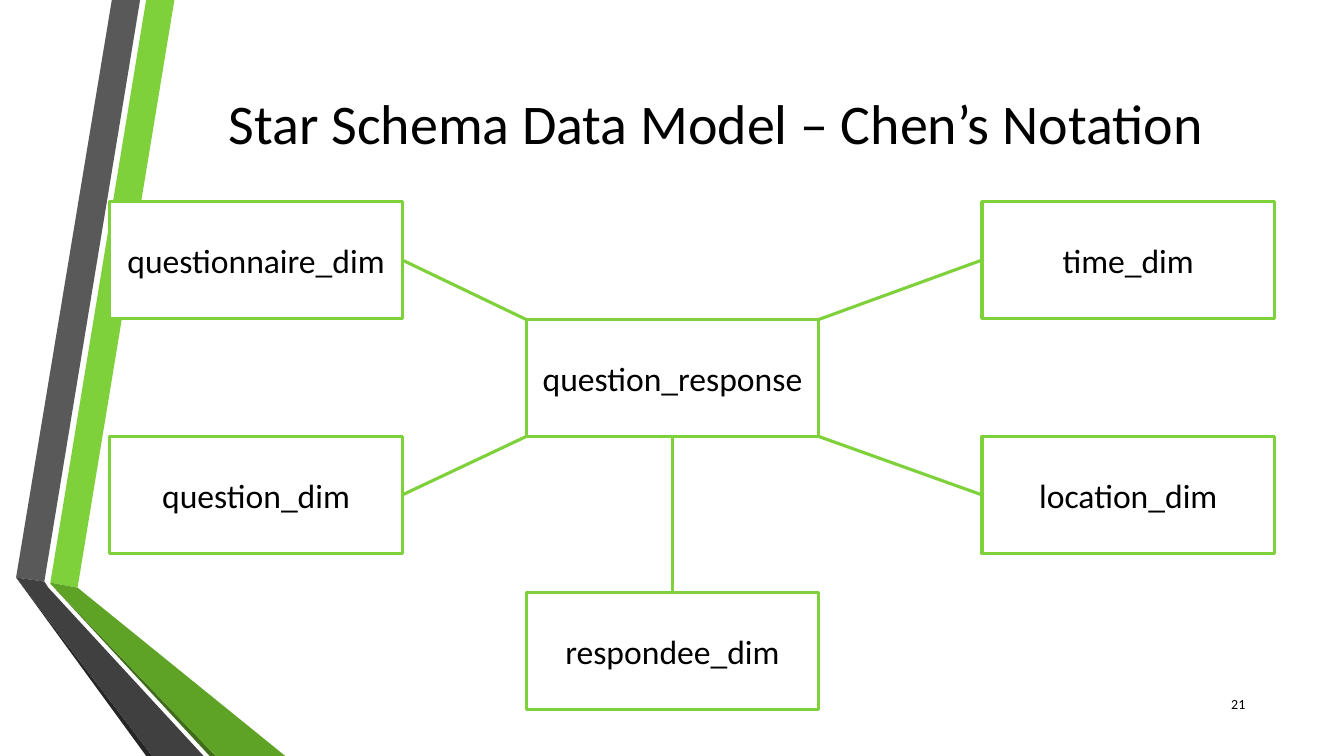
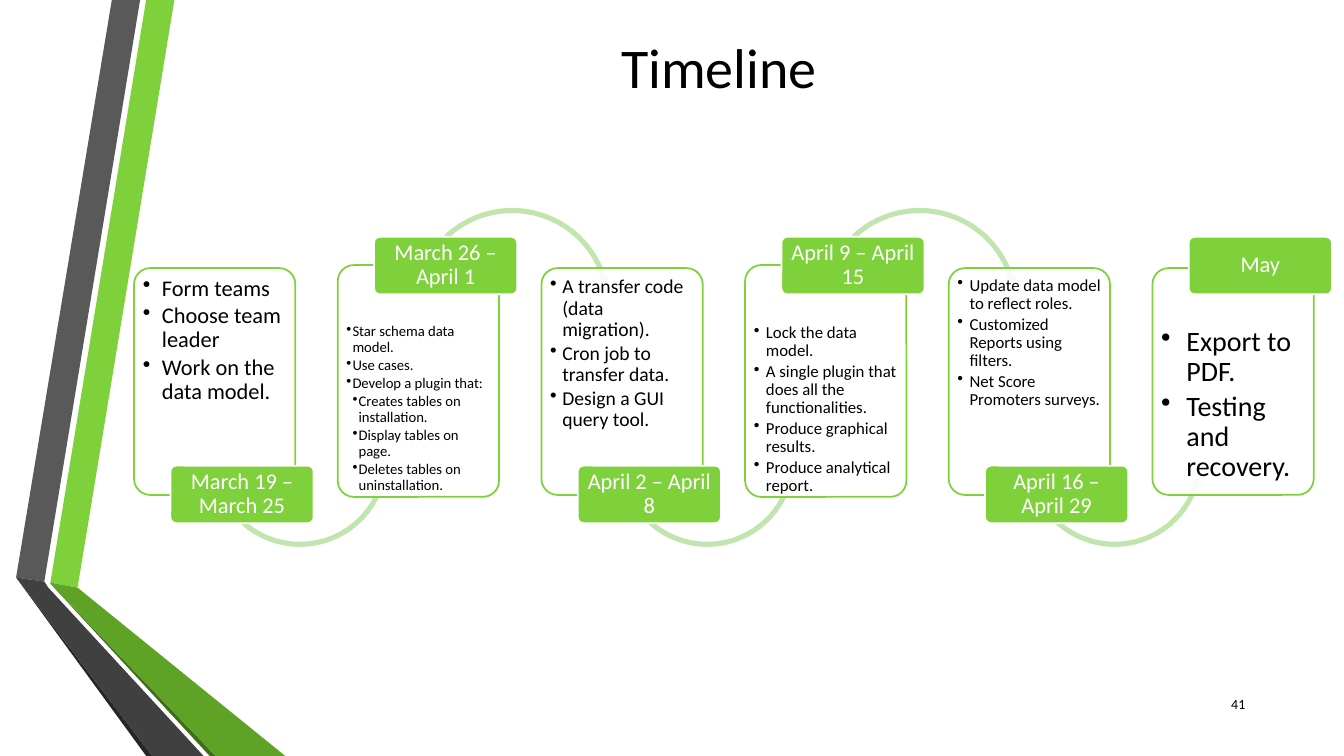
from dataclasses import dataclass

from lxml.etree import SubElement
from pptx import Presentation
from pptx.dml.color import RGBColor as Rgb
from pptx.enum.shapes import MSO_CONNECTOR as Link, MSO_SHAPE as Shape
from pptx.enum.text import MSO_ANCHOR as Anchor, PP_ALIGN as Align
from pptx.oxml.ns import qn
from pptx.util import Inches, Pt


@dataclass(frozen=True)
class Theme:
    font: str = "Calibri"
    ink: str = "000000"
    paper: str = "FFFFFF"
    green: str = "7FD13B"
    pale_green: str = "C0E5AF"
    title_size: float = 40
    entity_size: float = 24
    label_size: float = 16
    number_size: float = 10
    entity_line: float = 2.25
    card_line: float = 1.25


# Folded ribbon down the left edge: fill and outline in inches
RIBBON = [
    ("7FD13B", [(0.5, 5.78), (0.77, 5.83), (1.73, 0), (1.45, 0)]),
    ("595959", [(1.39, 0), (1.11, 0), (0.16, 5.73), (0.44, 5.77)]),
    ("262626", [(0.16, 5.73), (1.45, 7.5), (1.51, 7.5)]),
    ("3F6D19", [(0.5, 5.79), (2.08, 7.5), (2.14, 7.5)]),
    ("5FA326", [(0.5, 5.79), (2.14, 7.5), (2.83, 7.5), (0.77, 5.83), (0.5, 5.78)]),
    ("404040", [(2.02, 7.5), (0.48, 5.83), (0.44, 5.77), (0.16, 5.73), (1.51, 7.5)]),
]


class SlideMaker:
    def __init__(self, theme):
        self.theme = theme
        self.deck = Presentation()
        self.deck.slide_width, self.deck.slide_height = Inches(13.33), Inches(7.5)
        self.page = None

    def new_page(self, title, title_at, number):
        self.page = self.deck.slides.add_slide(self.deck.slide_layouts[6])
        for color, points in RIBBON:
            self.outline(color, points)
        self.textbox(title, (*title_at, 10.96, 0.92), self.theme.title_size, Align.CENTER)
        self.textbox(number, (11.85, 6.78, 0.6, 0.4), self.theme.number_size, Align.RIGHT)

    def paint(self, shape, fill, line=None, width=0):
        shape.shadow.inherit = False
        shape.fill.solid()
        shape.fill.fore_color.rgb = Rgb.from_string(fill)
        if line:
            shape.line.color.rgb = Rgb.from_string(line)
            shape.line.width = Pt(width)
        else:
            shape.line.fill.background()

    def outline(self, color, points):
        start, *rest = [(Inches(x), Inches(y)) for x, y in points]
        builder = self.page.shapes.build_freeform(*start)
        builder.add_line_segments(rest, close=True)
        self.paint(builder.convert_to_shape(), color)

    def shape(self, kind, at, fill, line=None, width=0, adjust=()):
        shape = self.page.shapes.add_shape(kind, *map(Inches, at))
        for index, value in enumerate(adjust):
            shape.adjustments[index] = value
        self.paint(shape, fill, line, width)
        return shape

    def frame(self, shape, anchor, insets=None):
        frame = shape.text_frame
        frame.word_wrap = True
        frame.vertical_anchor = anchor
        if insets:
            (frame.margin_left, frame.margin_top,
             frame.margin_right, frame.margin_bottom) = map(Inches, insets)
        return frame

    def add_text(self, para, text, size, align, color=None):
        para.alignment = align
        span = para.add_run()
        span.text = text
        span.font.name = self.theme.font
        span.font.size = Pt(size)
        span.font.color.rgb = Rgb.from_string(color or self.theme.ink)

    def textbox(self, text, at, size, align):
        box = self.page.shapes.add_textbox(*map(Inches, at))
        self.add_text(self.frame(box, Anchor.MIDDLE).paragraphs[0], text, size, align)

    def entity(self, text, at):
        theme = self.theme
        box = self.shape(Shape.RECTANGLE, at, theme.paper, theme.green, theme.entity_line)
        para = self.frame(box, Anchor.MIDDLE).paragraphs[0]
        self.add_text(para, text, theme.entity_size, Align.CENTER)

    def link(self, start, end):
        line = self.page.shapes.add_connector(Link.STRAIGHT, *map(Inches, (*start, *end)))
        line.line.color.rgb = Rgb.from_string(self.theme.green)
        line.line.width = Pt(self.theme.entity_line)
        SubElement(line._element.spPr, qn("a:effectLst"))

    def card(self, at, items, size, indent, top_inset):
        theme = self.theme
        card = self.shape(Shape.ROUNDED_RECTANGLE, at, theme.paper, theme.green,
                          theme.card_line, [0.1])
        color = card._element.spPr.find(qn("a:solidFill"))[0]
        SubElement(color, qn("a:alpha"), val="90000")
        frame = self.frame(card, Anchor.TOP, (0.04, top_inset, 0.04, 0.04))
        for index, (level, text) in enumerate(items):
            para = frame.add_paragraph() if index else frame.paragraphs[0]
            self.add_text(para, text, size, Align.LEFT)
            para.line_spacing = 0.9
            para.space_after = Pt(0.15 * size)
            properties = para._p.get_or_add_pPr()
            properties.set("marL", str(Inches(indent * level)))
            properties.set("indent", str(-Inches(indent)))
            SubElement(properties, qn("a:buChar"), char="•")

    def label(self, text, at):
        theme = self.theme
        label = self.shape(Shape.ROUNDED_RECTANGLE, at, theme.green, theme.paper,
                           theme.card_line, [0.1])
        para = self.frame(label, Anchor.MIDDLE, (0.03, 0.02, 0.03, 0.02)).paragraphs[0]
        self.add_text(para, text, theme.label_size, Align.CENTER, theme.paper)
        para.line_spacing = 0.9


# Star schema: entity name, left, top
ENTITY_WIDTH, ENTITY_HEIGHT = 2.9, 1.16
FACT = ("question_response", 5.22, 3.17)
LEFT, RIGHT, UPPER, LOWER = 1.09, 9.74, 2, 4.33
DIMENSIONS = [
    ("questionnaire_dim", LEFT, UPPER),
    ("question_dim", LEFT, LOWER),
    ("location_dim", RIGHT, LOWER),
    ("time_dim", RIGHT, UPPER),
]
RESPONDEE = ("respondee_dim", FACT[1], 5.88)

# Timeline: dates, text size, bullet indent, (level, text) items
STEPS = [
    ("March 19 – March 25", 16, 0.19, [
        (1, "Form teams"), (1, "Choose team leader"), (1, "Work on the data model.")]),
    ("March 26 – April 1", 10.5, 0.06, [
        (1, "Star schema data model."), (1, "Use cases."), (1, "Develop a plugin that:"),
        (2, "Creates tables on installation."), (2, "Display tables on page."),
        (2, "Deletes tables on uninstallation.")]),
    ("April 2 – April 8", 14, 0.12, [
        (1, "A transfer code (data migration)."), (1, "Cron job to transfer data."),
        (1, "Design a GUI query tool.")]),
    ("April 9 – April 15", 12, 0.12, [
        (1, "Lock the data model."),
        (1, "A single plugin that does all the functionalities."),
        (1, "Produce graphical results."), (1, "Produce analytical report.")]),
    ("April 16 – April 29", 12, 0.12, [
        (1, "Update data model to reflect roles."),
        (1, "Customized Reports using filters."), (1, "Net Score Promoters surveys.")]),
    ("May", 20, 0.25, [(1, "Export to PDF."), (1, "Testing and recovery.")]),
]
STEP_LEFT, STEP_PITCH = 1.33, 2.02
LOW_ARC = [0.028, 3.423, 10.464, 79.531, 0.033]
HIGH_ARC = [0.025, 3.055, 205.304, 135.869, 0.029]


def star_schema(maker):
    maker.new_page("Star Schema Data Model – Chen’s Notation", (1.62, 0.75), "21")
    for name, left, top in [FACT, *DIMENSIONS, RESPONDEE]:
        maker.entity(name, (left, top, ENTITY_WIDTH, ENTITY_HEIGHT))
    _, fact_left, fact_top = FACT
    fact_bottom = fact_top + ENTITY_HEIGHT
    # Each corner of the fact table meets the inner side of a dimension
    for _, left, top in DIMENSIONS:
        on_left = left == LEFT
        corner = (fact_left if on_left else fact_left + ENTITY_WIDTH,
                  fact_top if top == UPPER else fact_bottom)
        side = (left + ENTITY_WIDTH if on_left else left, top + ENTITY_HEIGHT / 2)
        maker.link(corner, side)
    middle = fact_left + ENTITY_WIDTH / 2
    maker.link((middle, fact_bottom), (middle, RESPONDEE[2]))


def timeline(maker):
    maker.new_page("Timeline", (1.65, 0.2), "41")
    for index, (dates, size, indent, items) in enumerate(STEPS):
        left = STEP_LEFT + index * STEP_PITCH
        label_on_top = index % 2 == 1
        is_last = index == len(STEPS) - 1
        top, height = (2.63, 2.3) if label_on_top and not is_last else (2.66, 2.25)
        maker.card((left, top, 1.6, height), items, size, indent,
                   0.54 if label_on_top else 0.04)
        # Arc to the next card, over or under the row
        if not is_last:
            if label_on_top:
                kind, at, arc = Shape.CIRCULAR_ARROW, (left + 0.72, 2.03, 2.02, 2.02), HIGH_ARC
            else:
                kind, at, arc = Shape.LEFT_CIRCULAR_ARROW, (left + 0.74, 3.65, 1.81, 1.81), LOW_ARC
            maker.shape(kind, at, maker.theme.pale_green, adjust=arc)
        maker.label(dates, (left + 0.36, 2.35 if label_on_top else 4.62, 1.42, 0.57))


def main():
    maker = SlideMaker(Theme())
    star_schema(maker)
    timeline(maker)
    maker.deck.save("out.pptx")


if __name__ == "__main__":
    main()
